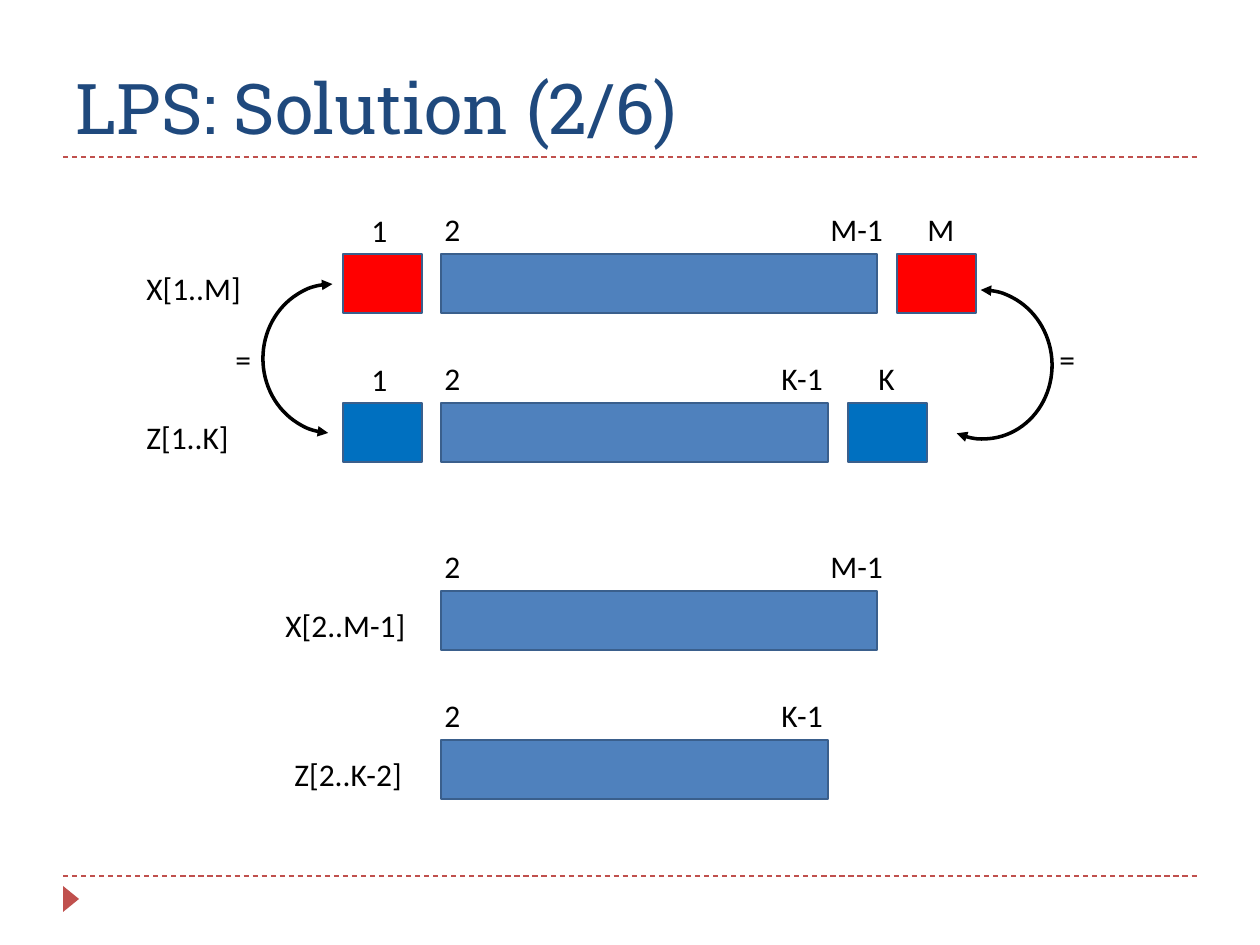
from lxml import etree
from pptx import Presentation
from pptx.dml.color import RGBColor
from pptx.enum.dml import MSO_LINE
from pptx.enum.shapes import MSO_CONNECTOR, MSO_SHAPE
from pptx.enum.text import MSO_ANCHOR, MSO_AUTO_SIZE, PP_ALIGN
from pptx.oxml.ns import qn
from pptx.util import Inches, Pt

SCALE = 914400 / 126
DASH = MSO_LINE.DASH
STRAIGHT = MSO_CONNECTOR.STRAIGHT
RECTANGLE = MSO_SHAPE.RECTANGLE
TRIANGLE = MSO_SHAPE.ISOSCELES_TRIANGLE
ARC = MSO_SHAPE.ARC
BOTTOM = MSO_ANCHOR.BOTTOM
NO_FIT = MSO_AUTO_SIZE.NONE
GROW = MSO_AUTO_SIZE.SHAPE_TO_FIT_TEXT
LEFT = PP_ALIGN.LEFT

BLACK = RGBColor(0x00, 0x00, 0x00)
NAVY = RGBColor(0x1F, 0x49, 0x7D)
BRICK = RGBColor(0xC0, 0x50, 0x4D)
STEEL = RGBColor(0x4F, 0x81, 0xBD)
STEEL_EDGE = RGBColor(0x3A, 0x5F, 0x8C)
RED = RGBColor(0xFF, 0x00, 0x00)
BLUE = RGBColor(0x00, 0x70, 0xC0)

FIRST_X, MIDDLE_X = 343, 441
END_WIDTH, BAR_HEIGHT, GAP = 79, 59, 20
X_WIDTH, Z_WIDTH = 436, 387
INDEX_RISE, NAME_DROP = 50, 9


def emu(*pixels):
    return [round(value * SCALE) for value in pixels]


def add_title(slide, wording):
    title = slide.shapes.title
    title.left, title.top, title.width, title.height = emu(63, 45, 1134, 110)
    frame = title.text_frame
    frame.text = wording
    frame.vertical_anchor = BOTTOM
    frame.auto_size = NO_FIT
    heading = frame.paragraphs[0]
    heading.alignment = LEFT
    heading.font.name = "Roboto Slab"
    heading.font.size = Pt(40)
    heading.font.color.rgb = NAVY


def add_rule(slide, y):
    rule = slide.shapes.add_connector(STRAIGHT, *emu(63, y, 1197, y))
    rule.line.color.rgb = BRICK
    rule.line.width = Pt(0.75)
    rule.line.dash_style = DASH
    etree.SubElement(rule._element.spPr, qn("a:effectLst"))


def add_marker(slide):
    marker = slide.shapes.add_shape(TRIANGLE, *emu(58, 891, 26, 16))
    marker.rotation = 90
    marker.shadow.inherit = False
    marker.fill.solid()
    marker.fill.fore_color.rgb = BRICK
    marker.line.fill.background()


def add_block(slide, x, y, width, color):
    block = slide.shapes.add_shape(RECTANGLE, *emu(x, y, width, BAR_HEIGHT))
    block.shadow.inherit = False
    block.fill.solid()
    block.fill.fore_color.rgb = color
    block.line.color.rgb = STEEL_EDGE
    block.line.width = Pt(1.5)


def add_label(slide, wording, x, y, width):
    label = slide.shapes.add_textbox(*emu(x, y, width, 50))
    frame = label.text_frame
    frame.text = wording
    frame.word_wrap = False
    frame.auto_size = GROW
    font = frame.paragraphs[0].font
    font.name = "Calibri"
    font.size = Pt(18)
    font.color.rgb = BLACK


def add_middle(slide, y, width, last_index, last_x, last_width):
    add_block(slide, MIDDLE_X, y, width, STEEL)
    add_label(slide, "2", 432, y - INDEX_RISE, 69)
    add_label(slide, last_index, last_x, y - INDEX_RISE, last_width)


def add_ends(slide, y, middle_width, color, last_index, last_x, last_width):
    end_x = MIDDLE_X + middle_width + GAP
    for x in (FIRST_X, end_x):
        add_block(slide, x, y, END_WIDTH, color)
    add_label(slide, "1", 359, y + 1 - INDEX_RISE, 43)
    add_label(slide, last_index, last_x, y - INDEX_RISE, last_width)


def add_match_arc(slide, x, y, rotation, start, end):
    arc = slide.shapes.add_shape(ARC, *emu(x, y, 149, 139))
    arc.rotation = rotation
    arc.adjustments[0] = start
    arc.adjustments[1] = end
    arc.shadow.inherit = False
    arc.fill.background()
    arc.line.color.rgb = BLACK
    arc.line.width = Pt(2)
    outline = arc.line._get_or_add_ln()
    for end_name in ("a:headEnd", "a:tailEnd"):
        etree.SubElement(outline, qn(end_name), type="triangle")


def main():
    deck = Presentation()
    deck.slide_width, deck.slide_height = Inches(10), Inches(7.5)
    slide = deck.slides.add_slide(deck.slide_layouts[5])
    add_title(slide, "LPS: Solution (2/6)")
    for y in (876, 157):
        add_rule(slide, y)
    add_marker(slide)

    x_last = ("M-1", 818, 81)
    z_last = ("K-1", 769, 74)
    for name, name_x, name_width, y, width, last in (
        ("X[1..M]", 134, 126, 254, X_WIDTH, x_last),
        ("Z[1..K]", 134, 120, 403, Z_WIDTH, z_last),
        ("X[2..M-1]", 273, 155, 591, X_WIDTH, x_last),
        ("Z[2..K-2]", 282, 147, 740, Z_WIDTH, z_last),
    ):
        add_middle(slide, y, width, *last)
        add_label(slide, name, name_x, y + NAME_DROP, name_width)

    add_ends(slide, 254, X_WIDTH, RED, "M", 915, 52)
    add_ends(slide, 403, Z_WIDTH, BLUE, "K", 866, 47)

    add_match_arc(slide, 908, 295, 85.3, 109.98, 15.13)
    add_match_arc(slide, 258, 289, 270, 109.98, 0)
    for x in (223, 1047):
        add_label(slide, "=", x, 334, 30)

    deck.save("out.pptx")


main()
